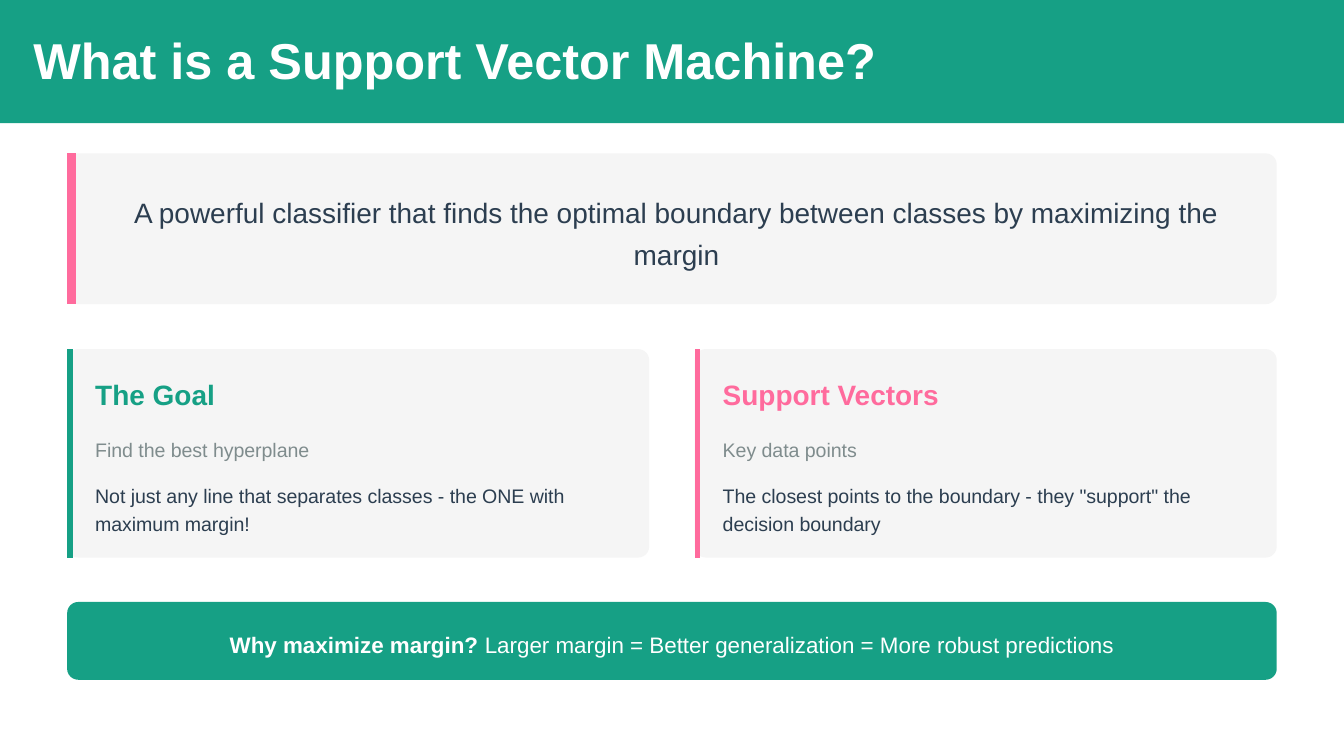
"""Build a slide that explains what a support vector machine is."""
from lxml import etree
from pptx import Presentation
from pptx import util as u
from pptx.dml.color import RGBColor
from pptx.enum import shapes, text
from pptx.oxml.ns import qn

COLORS = {"green": "16A085", "pink": "FF6B9D", "panel": "F5F5F5",
          "ink": "2C3E50", "muted": "7F8C8D", "white": "FFFFFF"}
LEFT, WIDTH, RADIUS = 1.27, 22.86, 0.21
CARD_TOP, CARD_WIDTH, CARD_HEIGHT = 6.6, 11, 3.94
CARDS = [
    ("green", "The Goal", "Find the best hyperplane",
     "Not just any line that separates classes - the ONE with maximum margin!"),
    ("pink", "Support Vectors", "Key data points",
     "The closest points to the boundary - they \"support\" the decision boundary"),
]


class SlideBuilder:
    """Hold the style and the current slide."""

    def __init__(self, slide, font="Arial"):
        self.slide = slide
        self.font = font

    def color(self, name):
        return RGBColor.from_string(COLORS[name])

    def fill_text(self, shape, runs, size, color, spacing, after=0, align="LEFT"):
        frame = shape.text_frame
        frame.word_wrap = True
        frame.auto_size = text.MSO_AUTO_SIZE.NONE
        frame.vertical_anchor = text.MSO_ANCHOR.TOP
        frame.margin_left = frame.margin_top = 0
        frame.margin_right = frame.margin_bottom = 0
        paragraph = frame.paragraphs[0]
        paragraph.alignment = text.PP_ALIGN[align]
        paragraph.line_spacing = u.Pt(spacing)
        paragraph.space_before = u.Pt(0)
        paragraph.space_after = u.Pt(after)
        for words, bold in runs:
            run = paragraph.add_run()
            run.text = words
            run.font.name = self.font
            run.font.size = u.Pt(size)
            run.font.bold = bold
            run.font.color.rgb = self.color(color)

    def title(self, box, words, size, color, spacing):
        shape = self.slide.shapes.title
        shape.left, shape.top, shape.width, shape.height = map(u.Cm, box)
        self.fill_text(shape, [(words, True)], size, color, spacing)

    def label(self, box, runs, size, color, spacing, **style):
        shape = self.slide.shapes.add_textbox(*map(u.Cm, box))
        self.fill_text(shape, runs, size, color, spacing, **style)

    def panel(self, box, color, rounded=True):
        kind = shapes.MSO_SHAPE.ROUNDED_RECTANGLE if rounded else shapes.MSO_SHAPE.RECTANGLE
        shape = self.slide.shapes.add_shape(kind, *map(u.Cm, box))
        shape.shadow.inherit = False
        shape.fill.solid()
        shape.fill.fore_color.rgb = self.color(color)
        shape.line.fill.background()
        if rounded:
            shape.adjustments[0] = RADIUS / min(box[2:])
        return shape

    def accent(self, left, top, height, color, points):
        x = u.Cm(left) + u.Pt(points / 2)
        line = self.slide.shapes.add_connector(
            shapes.MSO_CONNECTOR.STRAIGHT, x, u.Cm(top), x, u.Cm(top + height))
        line.line.color.rgb = self.color(color)
        line.line.width = u.Pt(points)
        etree.SubElement(line.element.spPr, qn("a:effectLst"))

    def card(self, left, color, heading, subtitle, body):
        self.panel((left, CARD_TOP, CARD_WIDTH, CARD_HEIGHT), "panel")
        self.accent(left, CARD_TOP, CARD_HEIGHT, color, 3)
        x, width = left + 0.53, 10.26
        self.label((x, 7.04, width, 0.74), [(heading, True)], 15, color, 21, after=6)
        self.label((x, 8.2, width, 0.53), [(subtitle, False)], 10.5, "muted", 15, after=3.6)
        self.label((x, 9.07, width, 1.07), [(body, False)], 10.5, "ink", 15)


def main():
    presentation = Presentation()
    presentation.slide_width, presentation.slide_height = u.Cm(25.4), u.Cm(14.29)
    slide = presentation.slides.add_slide(presentation.slide_layouts[5])
    builder = SlideBuilder(slide)

    band = builder.panel((0, 0, 25.4, 2.33), "green", rounded=False)
    slide.shapes.title.element.addprevious(band.element)
    builder.title((0.63, 0.63, 16.28, 1.07), "What is a Support Vector Machine?",
                  27, "white", 30)

    builder.panel((LEFT, 2.9, WIDTH, 2.85), "panel")
    builder.accent(LEFT, 2.9, 2.85, "pink", 4.5)
    builder.label((1.85, 3.53, 21.87, 1.57),
                  [("A powerful classifier that finds the optimal boundary "
                    "between classes by maximizing the margin", False)],
                  15, "ink", 22.5, align="CENTER")

    for index, card in enumerate(CARDS):
        builder.card(LEFT + index * (WIDTH - CARD_WIDTH), *card)

    builder.panel((LEFT, 11.38, WIDTH, 1.47), "green")
    builder.label((4.17, 11.81, 17.07, 0.64),
                  [("Why maximize margin?", True),
                   (" Larger margin = Better generalization = More robust predictions", False)],
                  12, "white", 18, align="CENTER")
    presentation.save("out.pptx")


if __name__ == "__main__":
    main()
